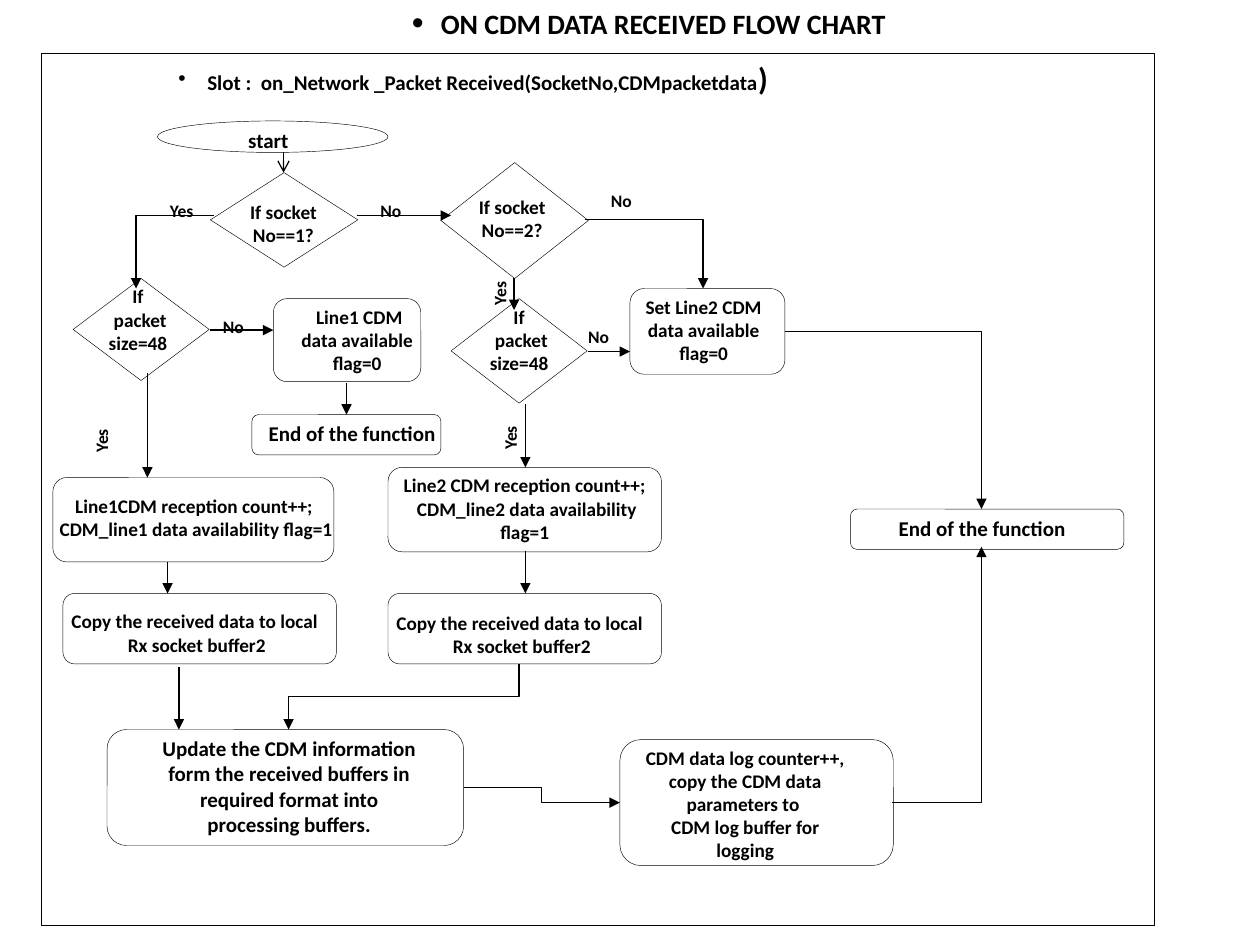
"""Build the flow chart slide for received CDM data."""
from lxml.etree import SubElement
from pptx import Presentation
from pptx.dml.color import RGBColor
from pptx.enum.shapes import MSO_CONNECTOR as Link, MSO_SHAPE as Shape
from pptx.enum.text import MSO_AUTO_SIZE as AutoSize, PP_ALIGN as Align
from pptx.oxml.ns import qn
from pptx.util import Inches, Pt

BLACK = RGBColor(0, 0, 0)
FONT = "Calibri"
OUTLINE, ARROW = 0.26, 0.74

OUTLINES = {
    Shape.RECTANGLE: [(0.33, 0.42, 8.83, 6.92)],
    Shape.OVAL: [(1.25, 0.96, 1.83, 0.25)],
    Shape.FLOWCHART_DECISION: [
        (1.67, 1.37, 1.17, 0.75), (3.5, 1.29, 1.17, 0.92),
        (0.58, 2.21, 1.08, 0.81), (3.58, 2.37, 1.08, 0.83),
    ],
    Shape.ROUNDED_RECTANGLE: [
        (2.17, 2.37, 1.17, 0.66), (5, 2.29, 1.23, 0.68),
        (2, 3.29, 1.5, 0.32), (6.75, 4.04, 2.17, 0.32),
        (0.42, 3.79, 2.23, 0.67), (3.08, 3.71, 2.17, 0.67),
        (0.5, 4.71, 2.17, 0.56), (3.08, 4.71, 2.17, 0.56),
        (0.85, 5.79, 2.83, 0.92), (4.92, 5.87, 2.17, 1),
    ],
}

SIZE_CHECK = "If\n packet size=48"
COPY_DATA = "Copy the received data to local\n Rx socket buffer2"
END = "End of the function"
STEPS_11 = [
    ("If socket No==1?", (1.67, 1.54, 1.16, 0.47)),
    ("If socket No==2?", (3.49, 1.5, 1.15, 0.47)),
    (SIZE_CHECK, (0.75, 2.21, 0.69, 0.65)),
    (SIZE_CHECK, (3.58, 2.37, 1.08, 0.65)),
    (" Line1 CDM data available flag=0", (2.25, 2.37, 1.17, 0.65)),
    ("Set Line2 CDM data available flag=0", (5, 2.29, 1.17, 0.65)),
    ("Line1CDM reception count++;\n CDM_line1 data availability flag=1",
     (0.33, 3.87, 2.42, 0.47)),
    ("Line2 CDM reception count++;\n CDM_line2 data availability flag=1",
     (3, 3.71, 2.33, 0.65)),
    (COPY_DATA, (0.42, 4.79, 2.25, 0.47)),
    (COPY_DATA, (3, 4.8, 2.25, 0.47)),
    ("CDM data log counter++,\ncopy the CDM data parameters to \n"
     "CDM log buffer for logging", (5, 5.87, 1.83, 1.02)),
]
STEPS_12 = [
    ("start", (1.42, 0.96, 1.42, 0.3)),
    (END, (1.92, 3.29, 1.75, 0.3)),
    (END, (6.67, 4.04, 2.25, 0.3)),
    ("Update the CDM information form the received buffers in required "
     "format into processing buffers.", (1.17, 5.79, 2.25, 0.9)),
]
ANSWERS = [
    ("Yes", (1.25, 1.54, 0.5, 0.27), 0),
    ("No", (2.92, 1.54, 0.5, 0.27), 0),
    ("No", (4.75, 1.46, 0.38, 0.27), 0),
    ("No", (1.67, 2.46, 0.51, 0.27), 0),
    ("No", (4.57, 2.54, 0.51, 0.27), 0),
    ("Yes", (3.64, 2.06, 0.65, 0.27), 270),
    ("Yes", (0.48, 3.23, 0.65, 0.27), 270),
    ("Yes", (3.78, 3.26, 0.54, 0.27), 270),
]

STRAIGHT_ARROWS = [
    (2.83, 1.71, 3.58, 1.71), (1.67, 2.62, 2.17, 2.62),
    (4.67, 2.79, 5, 2.79), (4.08, 2.21, 4.08, 2.46),
    (2.75, 3.04, 2.75, 3.29), (1.17, 2.96, 1.17, 3.79),
    (4.17, 3.21, 4.17, 3.71), (1.33, 4.46, 1.33, 4.71),
    (4.17, 4.37, 4.17, 4.71), (1.42, 5.29, 1.42, 5.79),
]
CORNER_ARROWS = [
    (1.7, 1.71, 1.08, 2.29), (4.64, 1.74, 5.58, 2.29),
    (6.23, 2.63, 7.79, 4.04), (7.08, 6.37, 7.79, 4.34),
]


def add_outline(page, kind, place):
    """Add an unfilled shape with a hairline."""
    shape = page.shapes.add_shape(kind, *map(Inches, place))
    shape.shadow.inherit = False
    shape.fill.background()
    shape.line.color.rgb = BLACK
    shape.line.width = Pt(OUTLINE)


def add_bullet(para, percent):
    """Give a paragraph a hanging round bullet."""
    props = para._p.get_or_add_pPr()
    props.set("marL", str(Inches(0.23)))
    props.set("indent", str(-Inches(0.23)))
    SubElement(props, qn("a:buSzPct")).set("val", str(percent * 1000))
    SubElement(props, qn("a:buFont")).set("typeface", "Arial")
    SubElement(props, qn("a:buChar")).set("char", "•")


def add_span(para, text, size):
    """Add bold black text to a paragraph."""
    span = para.add_run()
    span.text = text
    span.font.name = FONT
    span.font.size = Pt(size)
    span.font.bold = True
    span.font.color.rgb = BLACK


def add_text(page, text, place, size=11, align=Align.CENTER, turn=0, bullet=None):
    """Add a wrapped text box and return its last paragraph."""
    box = page.shapes.add_textbox(*map(Inches, place))
    box.rotation = turn
    frame = box.text_frame
    frame.word_wrap = True
    frame.auto_size = AutoSize.SHAPE_TO_FIT_TEXT
    for index, line in enumerate(text.split("\n")):
        para = frame.add_paragraph() if index else frame.paragraphs[0]
        para.alignment = align
        if bullet:
            add_bullet(para, bullet)
        add_span(para, line, size)
    return para


def add_arrow(page, ends, kind=Link.STRAIGHT, preset=None, turned=False, head="triangle"):
    """Add an arrow; a turned elbow leaves its start vertically."""
    x1, y1, x2, y2 = ends
    if turned:
        mid_x, mid_y = (x1 + x2) / 2, (y1 + y2) / 2
        half_w, half_h = (y2 - y1) / 2, (x1 - x2) / 2
        ends = mid_x - half_w, mid_y - half_h, mid_x + half_w, mid_y + half_h
    arrow = page.shapes.add_connector(kind, *map(Inches, ends))
    arrow.line.color.rgb = BLACK
    arrow.line.width = Pt(ARROW)
    props = arrow._element.spPr
    if preset:
        props.find(qn("a:prstGeom")).set("prst", preset)
    if turned:
        props.find(qn("a:xfrm")).set("rot", str(90 * 60000))
    SubElement(props.find(qn("a:ln")), qn("a:tailEnd")).set("type", head)
    SubElement(props, qn("a:effectLst"))


def main():
    """Build and save the deck."""
    deck = Presentation()
    deck.slide_width, deck.slide_height = Inches(10), Inches(7.5)
    page = deck.slides.add_slide(deck.slide_layouts[6])

    add_text(page, "ON CDM DATA RECEIVED FLOW CHART", (3.17, 0, 4, 0.37),
             size=16, align=Align.LEFT, bullet=121)
    for kind, places in OUTLINES.items():
        for place in places:
            add_outline(page, kind, place)
    slot = add_text(page, "Slot :  on_Network _Packet Received(SocketNo,CDMpacketdata",
                    (0.25, 0.42, 7.01, 0.4), size=12, bullet=100)
    add_span(slot, ")", 18)

    for size, steps in ((11, STEPS_11), (12, STEPS_12)):
        for text, place in steps:
            add_text(page, text, place, size=size)
    for text, place, turn in ANSWERS:
        add_text(page, text, place, size=10, align=Align.LEFT, turn=turn)

    add_arrow(page, (2.25, 1.21, 2.25, 1.37), head="arrow")
    for ends in STRAIGHT_ARROWS:
        add_arrow(page, ends)
    for ends in CORNER_ARROWS:
        add_arrow(page, ends, kind=Link.ELBOW, preset="bentConnector2")
    add_arrow(page, (3.68, 6.25, 4.92, 6.37), kind=Link.ELBOW)
    add_arrow(page, (4.12, 5.27, 2.29, 5.79), kind=Link.ELBOW, turned=True)

    deck.save("out.pptx")


main()
